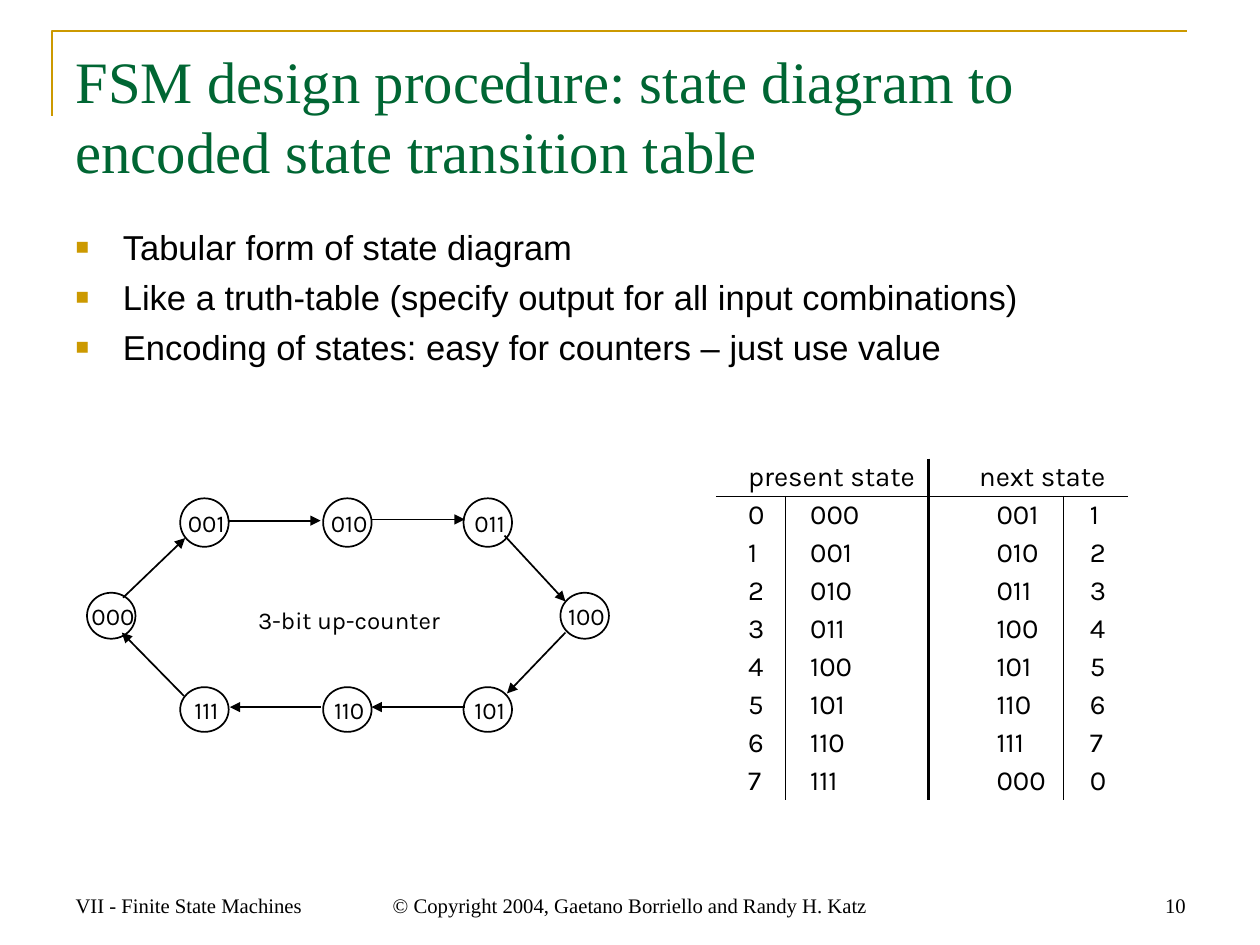
from collections import namedtuple

from lxml.etree import SubElement
from pptx import Presentation
from pptx.dml.color import RGBColor
from pptx.enum.shapes import MSO_CONNECTOR, MSO_SHAPE
from pptx.enum.text import MSO_ANCHOR, PP_ALIGN
from pptx.oxml.ns import qn
from pptx.util import Inches, Pt

GOLD = RGBColor(0xCC, 0x99, 0x00)
GREEN = RGBColor(0x00, 0x66, 0x33)
BLACK = RGBColor(0x00, 0x00, 0x00)
WHITE = RGBColor(0xFF, 0xFF, 0xFF)
SERIF, SANS, DIAGRAM_FONT = "Times New Roman", "Arial", "Karla"

Box = namedtuple("Box", "left top width height")

TITLE = "FSM design procedure: state diagram to encoded state transition table"
POINTS = [
    "Tabular form of state diagram",
    "Like a truth-table (specify output for all input combinations)",
    "Encoding of states: easy for counters – just use value",
]
# State label: left, top, height inside the diagram box
STATE_WIDTH = 0.39
STATES = {
    "000": (0, 0.76, 0.37), "001": (0.75, 0, 0.39),
    "010": (1.9, 0, 0.39), "011": (3.03, 0, 0.39),
    "100": (3.81, 0.76, 0.37), "101": (3.03, 1.52, 0.36),
    "110": (1.9, 1.52, 0.36), "111": (0.75, 1.52, 0.36),
}
# Transitions in counting order: start x, y and end x, y inside the diagram box
TRANSITIONS = [
    (0.29, 0.8, 0.79, 0.32), (1.14, 0.18, 1.88, 0.18),
    (2.29, 0.17, 3.04, 0.17), (3.36, 0.3, 3.85, 0.83),
    (3.85, 1.08, 3.38, 1.57), (3.04, 1.68, 2.29, 1.68),
    (1.88, 1.68, 1.15, 1.68), (0.78, 1.59, 0.28, 1.08),
]
COLUMN_WIDTHS = (0.56, 1.15, 1.09, 0.52)
COLUMN_INDENTS = (0.26, 0.2, 0.55, 0.21)
HEADINGS = {0: ("present state", 0.26), 2: ("next state", 0.41)}
HEADING_RULES = (0, 0, 2, 0, 0)
VALUE_RULES = (0, 1, 2, 1, 0)


def style(para, size, font, color=BLACK, align=PP_ALIGN.LEFT):
    para.alignment = align
    for span in para.runs:
        span.font.size = Pt(size)
        span.font.name = font
        span.font.color.rgb = color


def add_text(page, box, text, size, font, color=BLACK, align=PP_ALIGN.LEFT,
             anchor=MSO_ANCHOR.TOP):
    frame = page.shapes.add_textbox(*map(Inches, box)).text_frame
    frame.word_wrap = True
    frame.vertical_anchor = anchor
    frame.text = text
    for para in frame.paragraphs:
        style(para, size, font, color, align)
    return frame


def add_title(page, box):
    """Title text with the gold corner rule around its top left."""
    left, top = box.left - 0.09, box.top - 0.06
    builder = page.shapes.build_freeform(Inches(left), Inches(top + 0.68))
    builder.add_line_segments(
        [(Inches(left), Inches(top)), (Inches(left + 9.13), Inches(top))],
        close=False)
    corner = builder.convert_to_shape()
    corner.shadow.inherit = False
    corner.fill.background()
    corner.line.color.rgb = GOLD
    corner.line.width = Pt(1.5)
    add_text(page, box, TITLE, 34, SERIF, GREEN)


def add_points(page, box):
    frame = add_text(page, box, "\n".join(POINTS), 20, SANS)
    for index, para in enumerate(frame.paragraphs):
        props = para._p.get_or_add_pPr()
        props.set("marL", str(Inches(0.38)))
        props.set("indent", str(Inches(-0.38)))
        color = SubElement(props, qn("a:buClr"))
        SubElement(color, qn("a:srgbClr"), val=str(GOLD))
        SubElement(props, qn("a:buSzPct"), val="65000")
        SubElement(props, qn("a:buFont"), typeface=SANS)
        SubElement(props, qn("a:buChar"), char="■")
        if index:
            para.space_before = Pt(5)


def add_state(page, box, label):
    state = page.shapes.add_shape(MSO_SHAPE.OVAL, *map(Inches, box))
    state.shadow.inherit = False
    state.fill.solid()
    state.fill.fore_color.rgb = WHITE
    state.line.color.rgb = BLACK
    state.line.width = Pt(1)
    frame = state.text_frame
    frame.margin_left = Inches(0.03)
    frame.margin_right = frame.margin_top = frame.margin_bottom = 0
    frame.word_wrap = False
    frame.vertical_anchor = MSO_ANCHOR.MIDDLE
    frame.text = label
    style(frame.paragraphs[0], 14, DIAGRAM_FONT, align=PP_ALIGN.CENTER)


def add_arrow(page, *ends):
    arrow = page.shapes.add_connector(MSO_CONNECTOR.STRAIGHT, *map(Inches, ends))
    arrow.line.color.rgb = BLACK
    arrow.line.width = Pt(1)
    SubElement(arrow.line._get_or_add_ln(), qn("a:tailEnd"), type="triangle")
    SubElement(arrow._element.spPr, qn("a:effectLst"))


def add_state_diagram(page, box):
    for label, (x, y, height) in STATES.items():
        add_state(page, (box.left + x, box.top + y, STATE_WIDTH, height), label)
    for x1, y1, x2, y2 in TRANSITIONS:
        add_arrow(page, box.left + x1, box.top + y1, box.left + x2, box.top + y2)
    caption = Box(box.left + 1.16, box.top + 0.8, 1.9, 0.36)
    add_text(page, caption, "3-bit up-counter", 14, DIAGRAM_FONT,
             align=PP_ALIGN.CENTER, anchor=MSO_ANCHOR.MIDDLE)


def set_borders(cell, left, right, top, bottom):
    """Draw each side with the given width in points; zero means no line."""
    props = cell._tc.get_or_add_tcPr()
    sides = {"lnL": left, "lnR": right, "lnT": top, "lnB": bottom}
    for side, width in sides.items():
        line = SubElement(props, qn(f"a:{side}"), w=str(Pt(width)))
        if width:
            fill = SubElement(line, qn("a:solidFill"))
            SubElement(fill, qn("a:srgbClr"), val=str(BLACK))
        else:
            SubElement(line, qn("a:noFill"))


def add_transition_table(page, box):
    count = len(STATES)
    table = page.shapes.add_table(count + 1, 4, *map(Inches, box)).table
    table.first_row = table.horz_banding = False
    for column, width in zip(table.columns, COLUMN_WIDTHS):
        column.width = Inches(width)
    for row_index, row in enumerate(table.rows):
        row.height = Inches(box.height / (count + 1))
        present, following = row_index - 1, row_index % count
        values = (f"{present}", f"{present:03b}", f"{following:03b}", f"{following}")
        rules = VALUE_RULES if row_index else HEADING_RULES
        for index, cell in enumerate(row.cells):
            text, indent = values[index], COLUMN_INDENTS[index]
            if row_index == 0:
                text, indent = HEADINGS.get(index, ("", 0))
            cell.margin_left = Inches(indent)
            cell.margin_right = cell.margin_top = cell.margin_bottom = 0
            cell.vertical_anchor = MSO_ANCHOR.MIDDLE
            cell.text = text
            style(cell.text_frame.paragraphs[0], 16, DIAGRAM_FONT)
            set_borders(cell, rules[index], rules[index + 1],
                        int(row_index == 1), int(row_index == 0))
            cell.fill.background()
    for index in HEADINGS:
        table.cell(0, index).merge(table.cell(0, index + 1))


def add_footer(page, box):
    parts = [
        (0, 2.37, "VII - Finite State Machines", PP_ALIGN.LEFT),
        (2.45, 4.22, "© Copyright 2004, Gaetano Borriello and Randy H. Katz",
         PP_ALIGN.CENTER),
        (6.76, 2.37, "10", PP_ALIGN.RIGHT),
    ]
    for x, width, text, align in parts:
        add_text(page, Box(box.left + x, box.top, width, box.height), text, 12,
                 SERIF, align=align, anchor=MSO_ANCHOR.BOTTOM)


def main():
    deck = Presentation()
    deck.slide_width, deck.slide_height = Pt(730), Pt(547.5)
    page = deck.slides.add_slide(deck.slide_layouts[6])
    add_title(page, Box(0.51, 0.31, 9.12, 1.26))
    add_points(page, Box(0.51, 1.77, 9.12, 1.4))
    add_state_diagram(page, Box(0.7, 4.01, 4.2, 1.88))
    add_transition_table(page, Box(5.76, 3.69, 3.32, 2.75))
    add_footer(page, Box(0.51, 6.92, 9.12, 0.51))
    deck.save("out.pptx")


if __name__ == "__main__":
    main()
